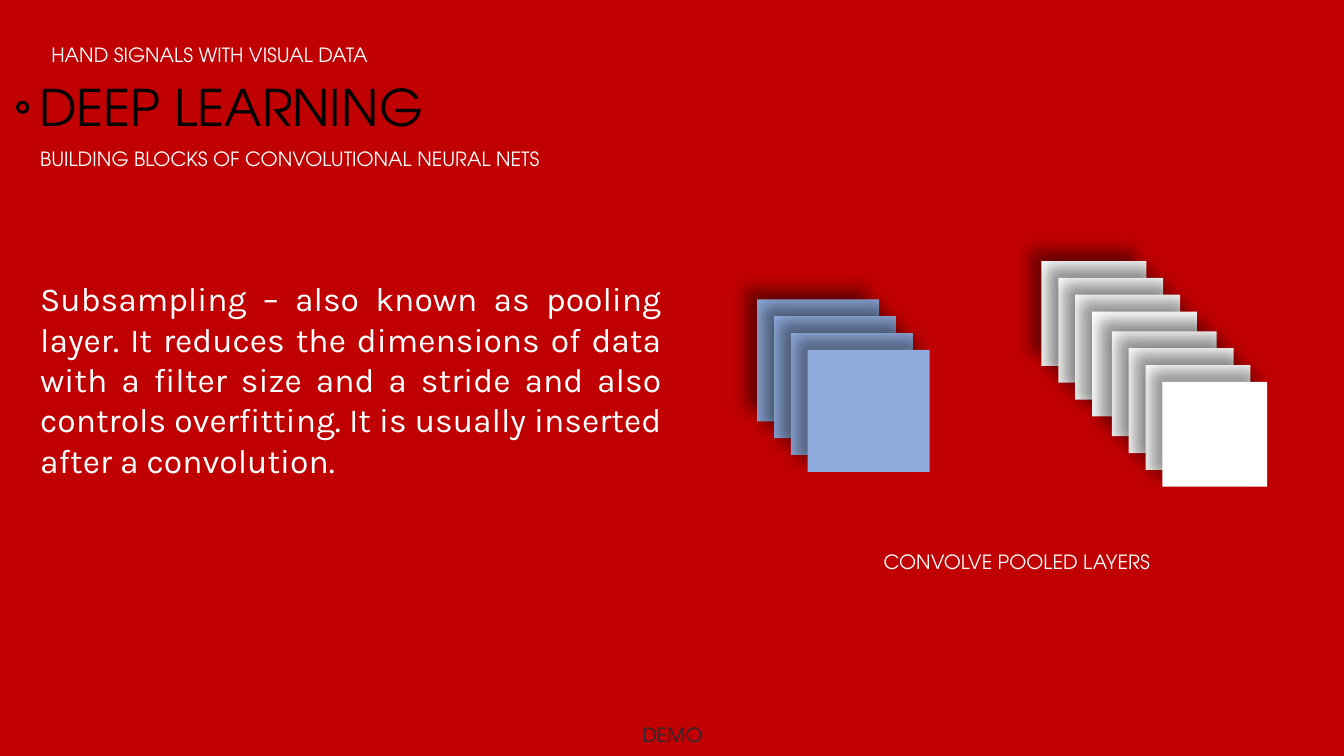
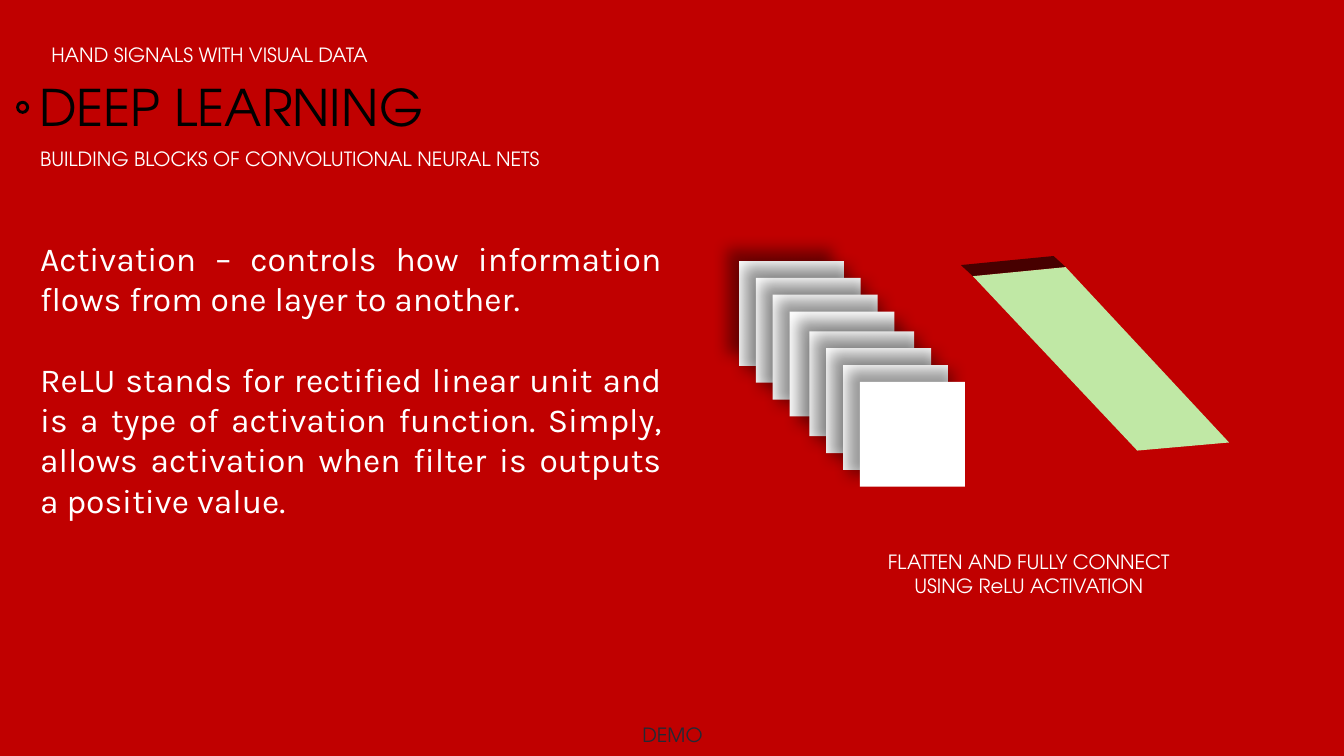
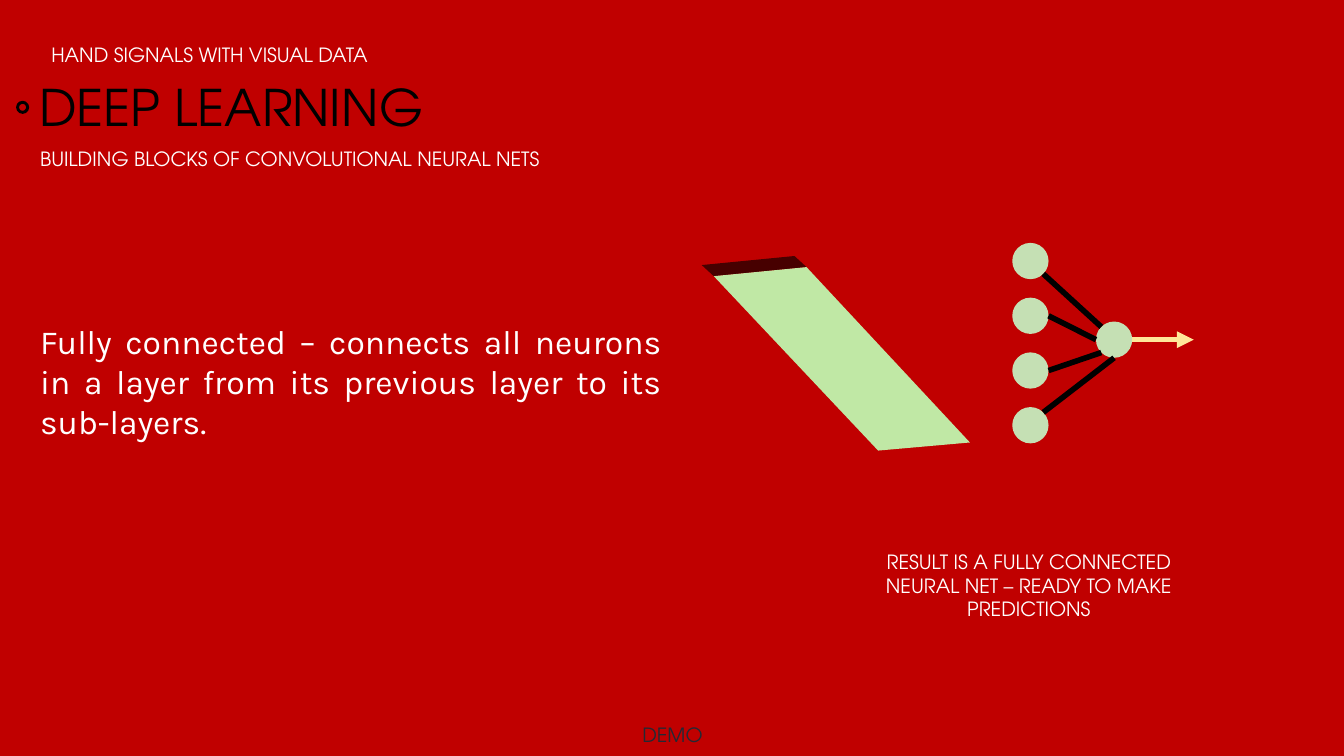
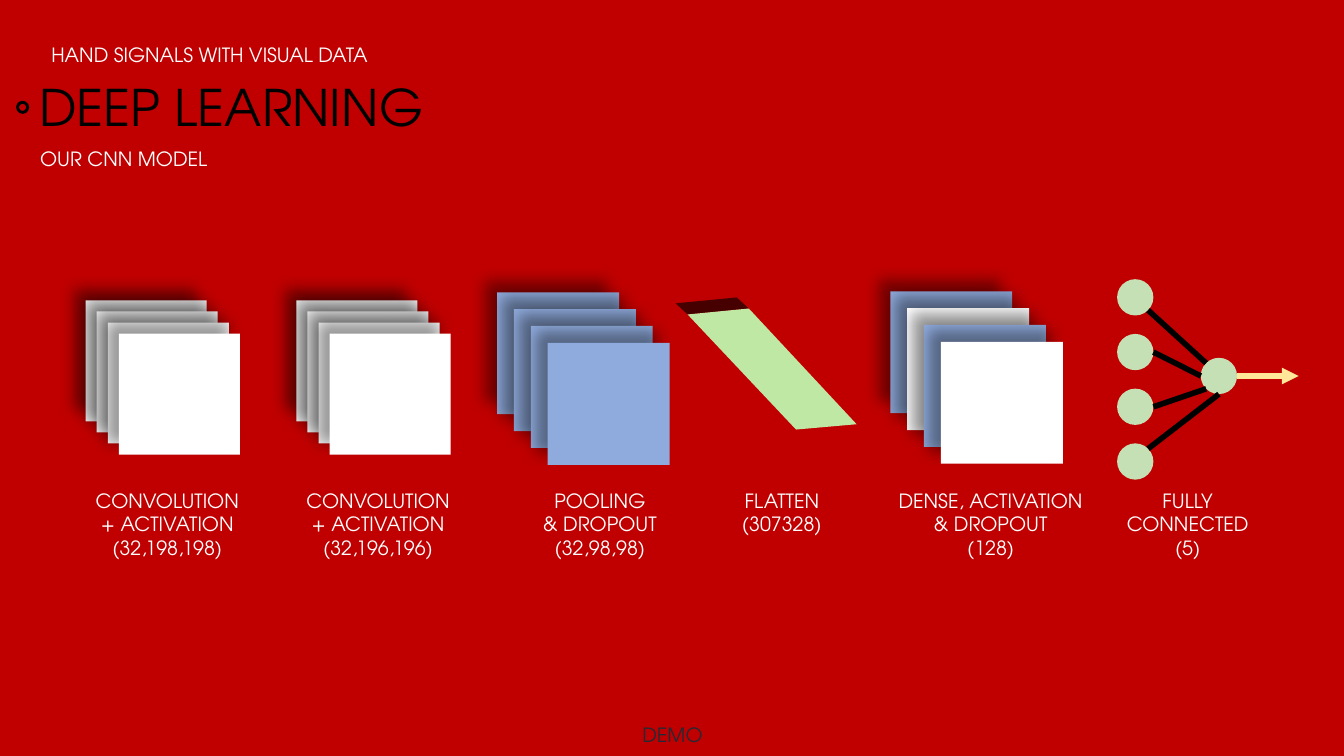
from dataclasses import dataclass
from math import cos, radians, sin

from lxml.etree import SubElement
from pptx import Presentation
from pptx.dml.color import RGBColor
from pptx.enum.shapes import MSO_CONNECTOR, MSO_SHAPE
from pptx.enum.text import MSO_AUTO_SIZE, PP_ALIGN
from pptx.oxml.ns import qn
from pptx.util import Inches, Pt


@dataclass(frozen=True)
class Theme:
    background: str = "C00000"
    black: str = "000000"
    white: str = "FFFFFF"
    footer: str = "222A35"
    blue: str = "8FAADC"
    neuron: str = "C5E0B4"
    flat_face: str = "C0E8A5"
    flat_edge: str = "470000"
    arrow: str = "FFE699"
    heading_font: str = "TeX Gyre Adventor"
    body_font: str = "Karla"
    title_size: float = 36
    body_size: float = 24
    label_size: float = 14
    line_width: float = 4
    paragraph_gap: float = 28.7


THEME = Theme()
BUILDING_BLOCKS = "BUILDING BLOCKS OF CONVOLUTIONAL NEURAL NETS"
POOLED = dict(side=1.21, step=0.167, colors=[THEME.blue] * 4)
CONVOLVED = dict(side=1.2, step=0.11, colors=[THEME.white] * 4)
DENSE = dict(side=1.21, step=0.167, colors=[THEME.blue, THEME.white] * 2)
DEEP = dict(side=1.04, step=0.167, colors=[THEME.white] * 8, middle_gap=0.03)

SLIDES = [
    dict(
        subtitle=(BUILDING_BLOCKS, 5.47),
        body=([
            "Subsampling – also known as pooling layer. It reduces the dimensions of data "
            "with a filter size and a stride and also controls overfitting. It is usually "
            "inserted after a convolution.",
        ], 2.71, 2.12),
        stacks=[(7.51, 2.97, POOLED), (10.33, 2.59, DEEP)],
        caption_top=5.41,
        captions=[(["CONVOLVE POOLED LAYERS"], 8.63, 2.91)],
    ),
    dict(
        subtitle=(BUILDING_BLOCKS, 5.47),
        body=([
            "Activation – controls how information flows from one layer to another.",
            "ReLU stands for rectified linear unit and is a type of activation function. "
            "Simply, allows activation when filter is outputs a positive value.",
        ], 2.31, 2.93),
        stacks=[(7.33, 2.59, DEEP)],
        flat_layers=[(9.65, 2.74, 1)],
        caption_top=5.41,
        captions=[(["FLATTEN AND FULLY CONNECT", "USING ReLU ACTIVATION"], 8.63, 3.15)],
    ),
    dict(
        subtitle=(BUILDING_BLOCKS, 5.47),
        body=([
            "Fully connected – connects all neurons in a layer from its previous layer "
            "to its sub-layers.",
        ], 3.13, 1.31),
        flat_layers=[(7.08, 2.74, 1)],
        networks=[(10.04, 2.41)],
        caption_top=5.41,
        captions=[([
            "RESULT IS A FULLY CONNECTED", "NEURAL NET – READY TO MAKE", "PREDICTIONS",
        ], 8.58, 3.25)],
    ),
    dict(
        subtitle=("OUR CNN MODEL", 1.94),
        stacks=[
            (0.85, 2.98, CONVOLVED),
            (2.94, 2.98, CONVOLVED),
            (4.93, 2.9, POOLED),
            (8.83, 2.89, DENSE),
        ],
        flat_layers=[(6.82, 3.12, 0.66)],
        networks=[(11.08, 2.77)],
        caption_top=4.8,
        captions=[
            (["CONVOLUTION", "+ ACTIVATION", "(32,198,198)"], 0.81, 1.7),
            (["CONVOLUTION", "+ ACTIVATION", "(32,196,196)"], 2.9, 1.7),
            (["POOLING", "& DROPOUT", "(32,98,98)"], 5.27, 1.36),
            (["FLATTEN", "(307328)"], 7.22, 1.07),
            (["DENSE, ACTIVATION", "& DROPOUT", "(128)"], 8.75, 2.15),
            (["FULLY", "CONNECTED", "(5)"], 11.06, 1.44),
        ],
    ),
]


def add_text(slide, lines, left, top, width, height, *, size=THEME.label_size,
             color=THEME.white, font=THEME.heading_font, align=PP_ALIGN.LEFT,
             wrap=False, gap=0):
    box = slide.shapes.add_textbox(*map(Inches, (left, top, width, height)))
    frame = box.text_frame
    frame.word_wrap = wrap
    frame.auto_size = MSO_AUTO_SIZE.SHAPE_TO_FIT_TEXT
    for index, line in enumerate(lines):
        paragraph = frame.paragraphs[0] if index == 0 else frame.add_paragraph()
        paragraph.alignment = align
        if index and gap:
            paragraph.space_before = Pt(gap)
        run = paragraph.add_run()
        run.text = line
        run.font.size = Pt(size)
        run.font.name = font
        run.font.color.rgb = RGBColor.from_string(color)


def paint(shape, color):
    shape.shadow.inherit = False
    shape.fill.solid()
    shape.fill.fore_color.rgb = RGBColor.from_string(color)
    shape.line.fill.background()
    return shape


def add_filled(shapes, kind, left, top, width, height, color):
    return paint(shapes.add_shape(kind, *map(Inches, (left, top, width, height))), color)


def cast_shadow(shape):
    effects = shape.element.spPr.find(qn("a:effectLst"))
    shadow = SubElement(effects, qn("a:outerShdw"), blurRad=str(Pt(11)), dist=str(Pt(12)),
                        dir=str(225 * 60000), algn="br", rotWithShape="0")
    color = SubElement(shadow, qn("a:srgbClr"), val=THEME.black)
    SubElement(color, qn("a:alpha"), val="40000")


def add_stack(slide, left, top, side, step, colors, middle_gap=0):
    group = slide.shapes.add_group_shape()
    for index, color in enumerate(colors):
        shift = index * step + (middle_gap if index >= len(colors) // 2 else 0)
        cast_shadow(add_filled(group.shapes, MSO_SHAPE.RECTANGLE,
                               left + shift, top + shift, side, side, color))


def add_polygon(slide, points, color):
    corners = [(Inches(x), Inches(y)) for x, y in points]
    builder = slide.shapes.build_freeform(*corners[0])
    builder.add_line_segments(corners[1:], close=True)
    paint(builder.convert_to_shape(), color)


def add_flat_layer(slide, left, top, scale):
    offsets = [(0, 0), (0.92, -0.09), (2.54, 1.65), (1.63, 1.73)]
    face = [(left + x * scale, top + y * scale) for x, y in offsets]
    back = [(x - 0.12, y - 0.11) for x, y in face[:2]]
    add_polygon(slide, back + face[1::-1], THEME.flat_edge)
    add_polygon(slide, face, THEME.flat_face)


def add_line(slide, start, end, color, arrow=False):
    ends = [Inches(value) for value in (*start, *end)]
    connector = slide.shapes.add_connector(MSO_CONNECTOR.STRAIGHT, *ends)
    connector.line.color.rgb = RGBColor.from_string(color)
    connector.line.width = Pt(THEME.line_width)
    properties = connector.element.spPr
    if arrow:
        SubElement(properties.find(qn("a:ln")), qn("a:tailEnd"), type="triangle")
    SubElement(properties, qn("a:effectLst"))


def add_network(slide, left, top):
    diameter, pitch, arrow_length = 0.36, 0.543, 0.61
    radius = diameter / 2
    inputs = [(left, top + index * pitch) for index in range(4)]
    output = (left + 0.83, top + 0.78)

    def rim(neuron, degrees):
        angle = radians(degrees)
        return (neuron[0] + radius + radius * cos(angle),
                neuron[1] + radius + radius * sin(angle))

    for neuron in [*inputs, output]:
        add_filled(slide.shapes, MSO_SHAPE.OVAL, *neuron, diameter, diameter, THEME.neuron)
    angles = [(45, 225), (0, 180), (0, 135), (-45, 90)]
    for neuron, (leaving, arriving) in zip(inputs, angles):
        add_line(slide, rim(neuron, leaving), rim(output, arriving), THEME.black)
    tip_x, tip_y = rim(output, 0)
    add_line(slide, (tip_x, tip_y), (tip_x + arrow_length, tip_y), THEME.arrow, arrow=True)


def add_frame(slide, subtitle, subtitle_width):
    add_text(slide, ["HAND SIGNALS WITH VISUAL DATA"], 0.29, 0.38, 3.58, 0.34,
             align=PP_ALIGN.CENTER)
    add_text(slide, ["DEEP LEARNING"], 0.29, 0.71, 4.19, 0.71,
             size=THEME.title_size, color=THEME.black)
    add_text(slide, ["DEMO"], 6.26, 7.12, 0.82, 0.34,
             color=THEME.footer, align=PP_ALIGN.CENTER)
    ring = add_filled(slide.shapes, MSO_SHAPE.DONUT, 0.16, 1, 0.13, 0.13, THEME.black)
    ring.adjustments[0] = 0.23
    add_text(slide, [subtitle], 0.3, 1.41, subtitle_width, 0.34)


def build_slide(presentation, content):
    slide = presentation.slides.add_slide(presentation.slide_layouts[6])
    add_frame(slide, *content["subtitle"])
    if "body" in content:
        lines, top, height = content["body"]
        add_text(slide, lines, 0.3, top, 6.36, height, size=THEME.body_size,
                 font=THEME.body_font, align=PP_ALIGN.JUSTIFY, wrap=True,
                 gap=THEME.paragraph_gap)
    for left, top, style in content.get("stacks", []):
        add_stack(slide, left, top, **style)
    for flat_layer in content.get("flat_layers", []):
        add_flat_layer(slide, *flat_layer)
    for network in content.get("networks", []):
        add_network(slide, *network)
    for lines, left, width in content["captions"]:
        add_text(slide, lines, left, content["caption_top"], width,
                 0.1 + 0.24 * len(lines), align=PP_ALIGN.CENTER)


def main():
    presentation = Presentation()
    presentation.slide_width = Inches(13.33)
    presentation.slide_height = Inches(7.5)
    fill = presentation.slide_master.background.fill
    fill.solid()
    fill.fore_color.rgb = RGBColor.from_string(THEME.background)
    for content in SLIDES:
        build_slide(presentation, content)
    presentation.save("out.pptx")


if __name__ == "__main__":
    main()
